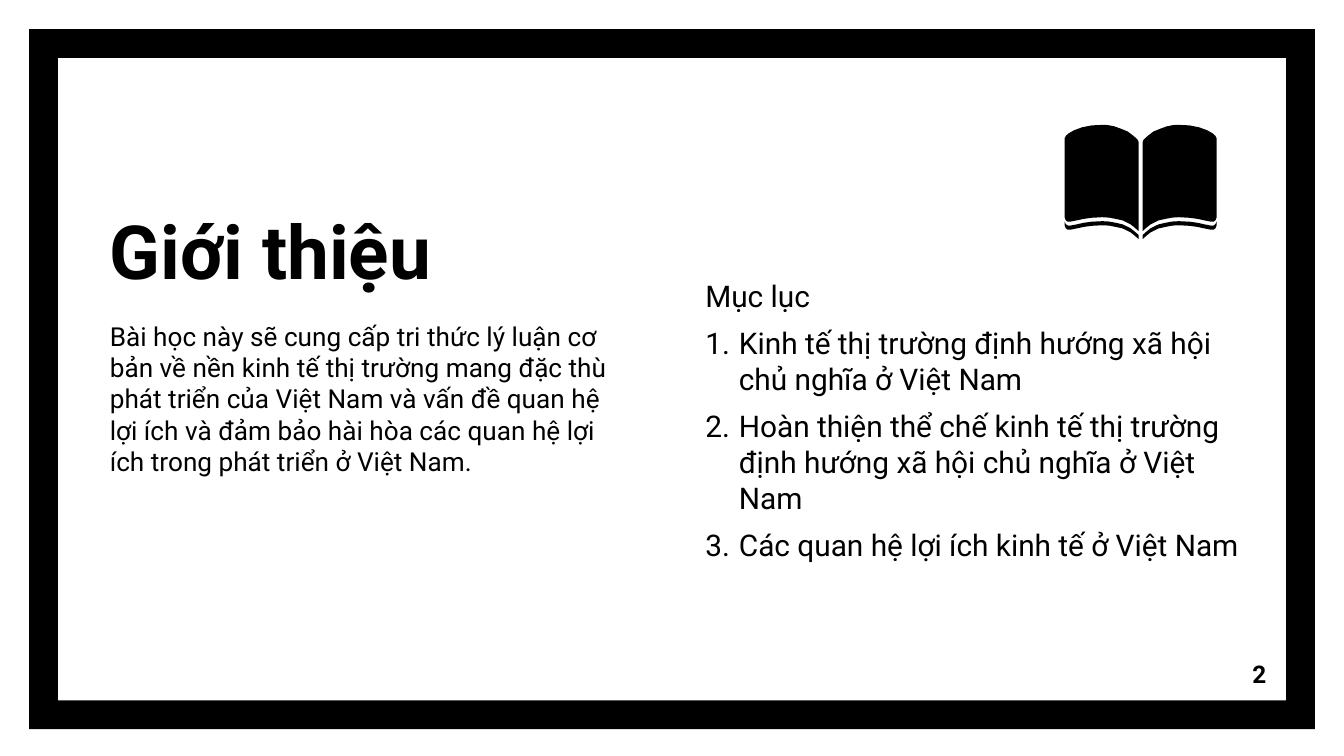
from dataclasses import dataclass

from lxml import etree
from pptx import Presentation
from pptx.dml.color import RGBColor
from pptx.enum.shapes import MSO_SHAPE
from pptx.enum.text import MSO_ANCHOR, PP_ALIGN
from pptx.oxml.ns import qn
from pptx.util import Pt

FRAME = MSO_SHAPE.FRAME
TOP, MIDDLE, BOTTOM = MSO_ANCHOR.TOP, MSO_ANCHOR.MIDDLE, MSO_ANCHOR.BOTTOM
LEFT, RIGHT = PP_ALIGN.LEFT, PP_ALIGN.RIGHT
COLORS = {"ink": "000000", "paper": "FFFFFF"}
FONT = "Roboto"
INSET = 7.2
INDENT = 18

# Left half of the book, relative to its top left corner
BOOK_X, BOOK_Y, BOOK_W = 570.4, 66.9, 81.3
PAGE_TOP = [(0, 7.2), (0.7, 5.8), (2.2, 4.5), (5, 2.9), (9.4, 1.3),
            (14.4, 0.3), (20.2, 0), (23, 0.1), (26.6, 0.8), (30.2, 2.1),
            (33.8, 3.6), (36.7, 5.8), (38.2, 7.1), (39.2, 8.1), (39.6, 9.4)]
PAGE_FOOT = [(0, 49.7), (0.5, 51), (1.4, 51.8), (2.9, 51.9), (6.5, 51.2),
             (10.1, 50.4), (14.4, 49.8), (20.2, 49.5), (23.8, 49.7),
             (27.4, 50.4), (31, 51.2), (33.1, 52.2), (35.3, 53.3),
             (37.4, 55), (39.6, 56.9)]
COVER_GAP, COVER_DEPTH = 2.1, 4.3


@dataclass
class TextBlock:
    """A text box; paragraphs from index numbered_from on are numbered."""
    x: float
    y: float
    w: float
    h: float
    lines: list[str]
    size: float
    bold: bool = False
    anchor: int = TOP
    align: int = LEFT
    before: float = 0
    numbered_from: int = 99


BLOCKS = [
    TextBlock(51.8, 108.7, 401, 56.2, ["Giới thiệu"], 40, bold=True, anchor=BOTTOM),
    TextBlock(370.8, 141.8, 305.3, 190, [
        "Mục lục",
        "Kinh tế thị trường định hướng xã hội chủ nghĩa ở Việt Nam",
        "Hoàn thiện thể chế kinh tế thị trường định hướng xã hội chủ nghĩa ở Việt Nam",
        "Các quan hệ lợi ích kinh tế ở Việt Nam",
    ], 16, before=6, numbered_from=1),
    TextBlock(51.8, 164.2, 283, 122.4, [
        "Bài học này sẽ cung cấp tri thức lý luận cơ bản về nền kinh tế thị trường "
        "mang đặc thù phát triển của Việt Nam và vấn đề quan hệ lợi ích và đảm bảo "
        "hài hòa các quan hệ lợi ích trong phát triển ở Việt Nam.",
    ], 14, before=6),
    TextBlock(642.2, 345.6, 43.2, 31, ["2"], 13, bold=True, anchor=MIDDLE, align=RIGHT),
]


def rgb(name: str) -> RGBColor:
    """Look up a named colour."""
    return RGBColor.from_string(COLORS[name])


def paint(sp) -> None:
    """Give a shape a plain ink fill."""
    sp.shadow.inherit = False
    sp.fill.solid()
    sp.fill.fore_color.rgb = rgb("ink")
    sp.line.fill.background()


def number(p) -> None:
    """Turn a paragraph into a numbered item with a hanging indent."""
    pPr = p._p.get_or_add_pPr()
    pPr.set("marL", str(Pt(INDENT)))
    pPr.set("indent", str(-Pt(INDENT)))
    etree.SubElement(pPr, qn("a:buFont")).set("typeface", FONT)
    etree.SubElement(pPr, qn("a:buAutoNum")).set("type", "arabicPeriod")


def add_text(s, block: TextBlock) -> None:
    """Add one text block."""
    sp = s.shapes.add_textbox(Pt(block.x), Pt(block.y), Pt(block.w), Pt(block.h))
    tf = sp.text_frame
    tf.word_wrap = True
    tf.vertical_anchor = block.anchor
    tf.margin_left = tf.margin_right = tf.margin_top = tf.margin_bottom = Pt(INSET)
    tf.text = "\n".join(block.lines)
    for i, p in enumerate(tf.paragraphs):
        p.alignment = block.align
        p.space_before = Pt(block.before)
        if i >= block.numbered_from:
            number(p)
        for r in p.runs:
            r.font.name = FONT
            r.font.size = Pt(block.size)
            r.font.bold = block.bold
            r.font.color.rgb = rgb("ink")


def add_outline(s, points: list[tuple[float, float]], mirrored: bool) -> None:
    """Draw one closed part of the book, mirrored for the right half."""
    placed = [(Pt(BOOK_X + (BOOK_W - x if mirrored else x)), Pt(BOOK_Y + y))
              for x, y in points]
    builder = s.shapes.build_freeform(*placed[0])
    builder.add_line_segments(placed[1:], close=True)
    paint(builder.convert_to_shape())


def add_book(s) -> None:
    """Draw the covers and pages of the open book."""
    def lowered(dy: float) -> list[tuple[float, float]]:
        """Return the foot of the page moved down."""
        return [(x, y + dy) for x, y in PAGE_FOOT]

    cover = lowered(COVER_GAP) + lowered(COVER_DEPTH)[::-1]
    page = PAGE_TOP + PAGE_FOOT[::-1]
    for part in (cover, page):
        for mirrored in (False, True):
            add_outline(s, part, mirrored)


prs = Presentation()
prs.slide_width, prs.slide_height = Pt(720), Pt(405)
s = prs.slides.add_slide(prs.slide_layouts[6])
s.background.fill.solid()
s.background.fill.fore_color.rgb = rgb("paper")

frame = s.shapes.add_shape(FRAME, Pt(15.6), Pt(15.6), Pt(688.8), Pt(375))
frame.adjustments[0] = 0.041
paint(frame)
for block in BLOCKS:
    add_text(s, block)
add_book(s)
prs.save("out.pptx")
